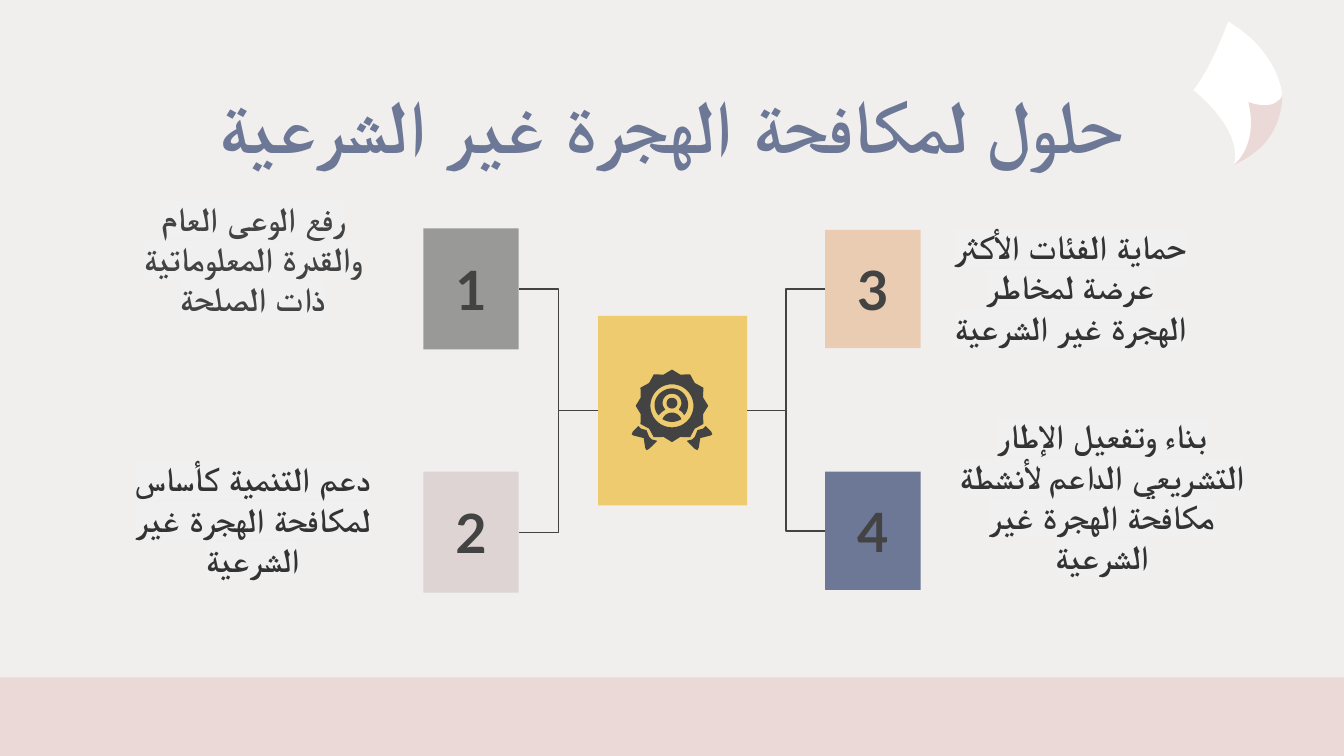
from math import cos, pi, sin

from lxml import etree
from pptx import Presentation
from pptx.dml.color import RGBColor
from pptx.enum.shapes import MSO_CONNECTOR, MSO_SHAPE
from pptx.enum.text import MSO_ANCHOR, MSO_AUTO_SIZE, PP_ALIGN
from pptx.oxml.ns import qn
from pptx.util import Inches, Pt

RECTANGLE = MSO_SHAPE.RECTANGLE
ELBOW = MSO_CONNECTOR.ELBOW
TOP, MIDDLE, BOTTOM = MSO_ANCHOR.TOP, MSO_ANCHOR.MIDDLE, MSO_ANCHOR.BOTTOM
CENTER = PP_ALIGN.CENTER
NO_AUTOFIT = MSO_AUTO_SIZE.NONE
ARABIC_FONT = "Arial"  # complex-script font, sets the width of the spaces

PAPER = RGBColor(0xF1, 0xEF, 0xEE)
WHITE = RGBColor(0xFF, 0xFF, 0xFF)
BLUSH = RGBColor(0xEA, 0xD9, 0xD6)
SLATE = RGBColor(0x6D, 0x78, 0x97)
PEACH = RGBColor(0xE9, 0xCC, 0xB1)
GREY = RGBColor(0x99, 0x99, 0x98)
MAUVE = RGBColor(0xDD, 0xD4, 0xD3)
GOLD = RGBColor(0xED, 0xCB, 0x6E)
CHARCOAL = RGBColor(0x43, 0x43, 0x43)
DARK = RGBColor(0x33, 0x33, 0x33)
HIGHLIGHT = RGBColor(0xF0, 0xF0, 0xF0)

# Widescreen page, 16:9
prs = Presentation()
prs.slide_width = Inches(10)
prs.slide_height = Inches(10) * 9 // 16
slide = prs.slides.add_slide(prs.slide_layouts[5])
slide.background.fill.solid()
slide.background.fill.fore_color.rgb = PAPER
shapes = slide.shapes


def write(holder, text, size, color, font="Calibri", anchor=MIDDLE, rtl=False, highlight=None):
    """Put one bold centred paragraph into a shape."""
    frame = holder.text_frame
    frame.word_wrap = True
    frame.auto_size = NO_AUTOFIT
    frame.vertical_anchor = anchor
    frame.margin_left = frame.margin_right = Inches(0.1)
    frame.margin_top = frame.margin_bottom = Inches(0.1)
    paragraph = frame.paragraphs[0]
    paragraph.alignment = CENTER
    if rtl:
        paragraph._p.get_or_add_pPr().set("rtl", "1")
    run = paragraph.add_run()
    run.text = text
    run.font.size, run.font.bold, run.font.name = Pt(size), True, font
    run.font.color.rgb = color
    properties = run._r.get_or_add_rPr()
    etree.SubElement(properties, qn("a:cs")).set("typeface", ARABIC_FONT)
    if highlight is not None:
        mark = etree.Element(qn("a:highlight"))
        etree.SubElement(mark, qn("a:srgbClr")).set("val", str(highlight))
        properties.find(qn("a:solidFill")).addnext(mark)


def draw_outline(contours, color):
    """Fill closed contours; a step is (x, y) or a cubic curve of six numbers."""
    builder = None
    for start, *steps in contours:
        points = [start]
        for step in steps:
            if len(step) == 2:
                points.append(step)
                continue
            x0, y0 = points[-1]
            x1, y1, x2, y2, x3, y3 = step
            for t in (i / 12 for i in range(1, 13)):
                a, b, c, d = (1 - t) ** 3, 3 * t * (1 - t) ** 2, 3 * t * t * (1 - t), t ** 3
                points.append((a * x0 + b * x1 + c * x2 + d * x3,
                               a * y0 + b * y1 + c * y2 + d * y3))
        points = [(Inches(x), Inches(y)) for x, y in points]
        if builder is None:
            builder = shapes.build_freeform(*points[0], scale=1.0)
        else:
            builder.move_to(*points[0])
        builder.add_line_segments(points[1:], close=True)
    outline = builder.convert_to_shape()
    outline.shadow.inherit = False
    outline.fill.solid()
    outline.fill.fore_color.rgb = color
    outline.line.fill.background()


# Leaf in the corner
draw_outline([[(9.14, 0.16), (9.52, 0.39, 9.54, 0.7, 9.54, 0.7),
               (9.54, 0.7, 9.53, 0.94, 9.36, 1.11), (9.31, 1.15, 9.26, 1.2, 9.18, 1.23),
               (9.18, 1.23, 9.28, 1, 8.88, 0.67), (8.89, 0.66, 9, 0.53, 9.14, 0.16)]], WHITE)
draw_outline([[(9.29, 0.76), (9.29, 0.76, 9.44, 0.82, 9.51, 0.75),
               (9.53, 0.74, 9.54, 0.72, 9.54, 0.7), (9.54, 0.7, 9.56, 0.92, 9.38, 1.1),
               (9.33, 1.14, 9.27, 1.19, 9.18, 1.23), (9.19, 1.22, 9.19, 1.22, 9.2, 1.21),
               (9.25, 1.16, 9.35, 1.02, 9.29, 0.76)]], BLUSH)

# Title
title = shapes.title
title.left, title.top = Inches(0.78), Inches(0.49)
title.width, title.height = Inches(8.44), Inches(0.63)
write(title, "حلول لمكافحة الهجرة غير الشرعية", 40, SLATE, anchor=TOP, rtl=True)

# Bottom band, numbered boxes and central hub
blocks = {}
for name, left, top, width, height, color in [
    ("band", 0, 5.04, 10, 0.67, BLUSH),
    ("3", 6.14, 1.71, 0.71, 0.88, PEACH),
    ("4", 6.14, 3.51, 0.71, 0.88, SLATE),
    ("1", 3.15, 1.7, 0.71, 0.9, GREY),
    ("2", 3.15, 3.51, 0.71, 0.9, MAUVE),
    ("hub", 4.45, 2.35, 1.11, 1.41, GOLD),
]:
    block = shapes.add_shape(RECTANGLE, Inches(left), Inches(top), Inches(width), Inches(height))
    block.shadow.inherit = False
    block.fill.solid()
    block.fill.fore_color.rgb = color
    block.line.fill.background()
    if name.isdigit():
        write(block, name, 29, CHARCOAL, font="Lato")
    blocks[name] = block

# Badge: toothed seal with a round opening
seal_x, seal_y = 5, 3.02
teeth = [(seal_x + r * sin(i * pi / 12), seal_y - r * cos(i * pi / 12))
         for i, r in enumerate([0.27, 0.24] * 12)]
opening, head = [
    [(seal_x + r * cos(i * pi / 24), y + r * sin(i * pi / 24)) for i in range(48)]
    for r, y in [(0.16, seal_y), (0.04, 3)]
]

# Badge: person inside the seal
draw_outline([[(5, 2.89), (4.93, 2.89, 4.87, 2.95, 4.87, 3.01),
               (4.87, 3.04, 4.88, 3.07, 4.9, 3.09), (4.92, 3.07, 4.93, 3.06, 4.95, 3.05),
               (4.94, 3.03, 4.93, 3.02, 4.93, 3), (4.93, 2.96, 4.96, 2.93, 5, 2.93),
               (5.04, 2.93, 5.07, 2.96, 5.07, 3), (5.07, 3.02, 5.06, 3.03, 5.05, 3.05),
               (5.07, 3.06, 5.08, 3.07, 5.09, 3.09), (5.11, 3.07, 5.12, 3.04, 5.12, 3.01),
               (5.12, 2.95, 5.07, 2.89, 5, 2.89)]], CHARCOAL)
draw_outline([head], CHARCOAL)
draw_outline([teeth, opening], CHARCOAL)
draw_outline([[(5, 3.07), (4.97, 3.07, 4.94, 3.09, 4.93, 3.12),
               (4.95, 3.13, 4.97, 3.14, 5, 3.14), (5.03, 3.14, 5.05, 3.13, 5.07, 3.12),
               (5.06, 3.09, 5.03, 3.07, 5, 3.07)]], CHARCOAL)

# Badge: ribbon tails, mirrored about the seal
ribbon = [(5.25, 3.17), (5.23, 3.19), (5.19, 3.2), (5.17, 3.25), (5.15, 3.27), (5.11, 3.28),
          (5.17, 3.34), (5.19, 3.35), (5.2, 3.33), (5.21, 3.26), (5.29, 3.24), (5.3, 3.23),
          (5.29, 3.21)]
for side in (1, -1):
    draw_outline([[(seal_x + side * (x - seal_x), y) for x, y in ribbon]], CHARCOAL)

# Branches between the hub and the boxes
for start, start_site, end, end_site, x1, y1, x2, y2 in [
    ("1", 3, "hub", 1, 3.86, 2.15, 4.45, 3.05),
    ("hub", 1, "2", 3, 4.45, 3.05, 3.86, 3.95),
    ("hub", 3, "3", 1, 5.56, 3.05, 6.14, 2.15),
    ("hub", 3, "4", 1, 5.56, 3.05, 6.14, 3.95),
]:
    branch = shapes.add_connector(ELBOW, Inches(x1), Inches(y1), Inches(x2), Inches(y2))
    branch.begin_connect(blocks[start], start_site)
    branch.end_connect(blocks[end], end_site)
    branch.line.color.rgb = CHARCOAL
    branch.line.width = Pt(0.75)
    etree.SubElement(branch._element.spPr, qn("a:effectLst"))

# Solution descriptions
for text, left, top, width, height, color, rtl in [
    ("رفع الوعى العام والقدرة المعلوماتية ذات الصلحة", 0.78, 1.68, 2.2, 0.79, CHARCOAL, False),
    ("دعم التنمية كأساس لمكافحة الهجرة غير الشرعية", 0.78, 3.51, 2.2, 0.9, DARK, True),
    ("حماية الفئات الأكثر عرضة لمخاطر الهجرة غير الشرعية", 6.94, 1.8, 2.05, 0.88, DARK, True),
    ("بناء وتفعيل الإطار التشريعي الداعم لأنشطة مكافحة الهجرة غير الشرعية",
     7.02, 3.51, 2.36, 0.88, DARK, True),
]:
    description = shapes.add_textbox(Inches(left), Inches(top), Inches(width), Inches(height))
    write(description, text, 18, color, anchor=BOTTOM, rtl=rtl, highlight=HIGHLIGHT)

prs.save("out.pptx")
